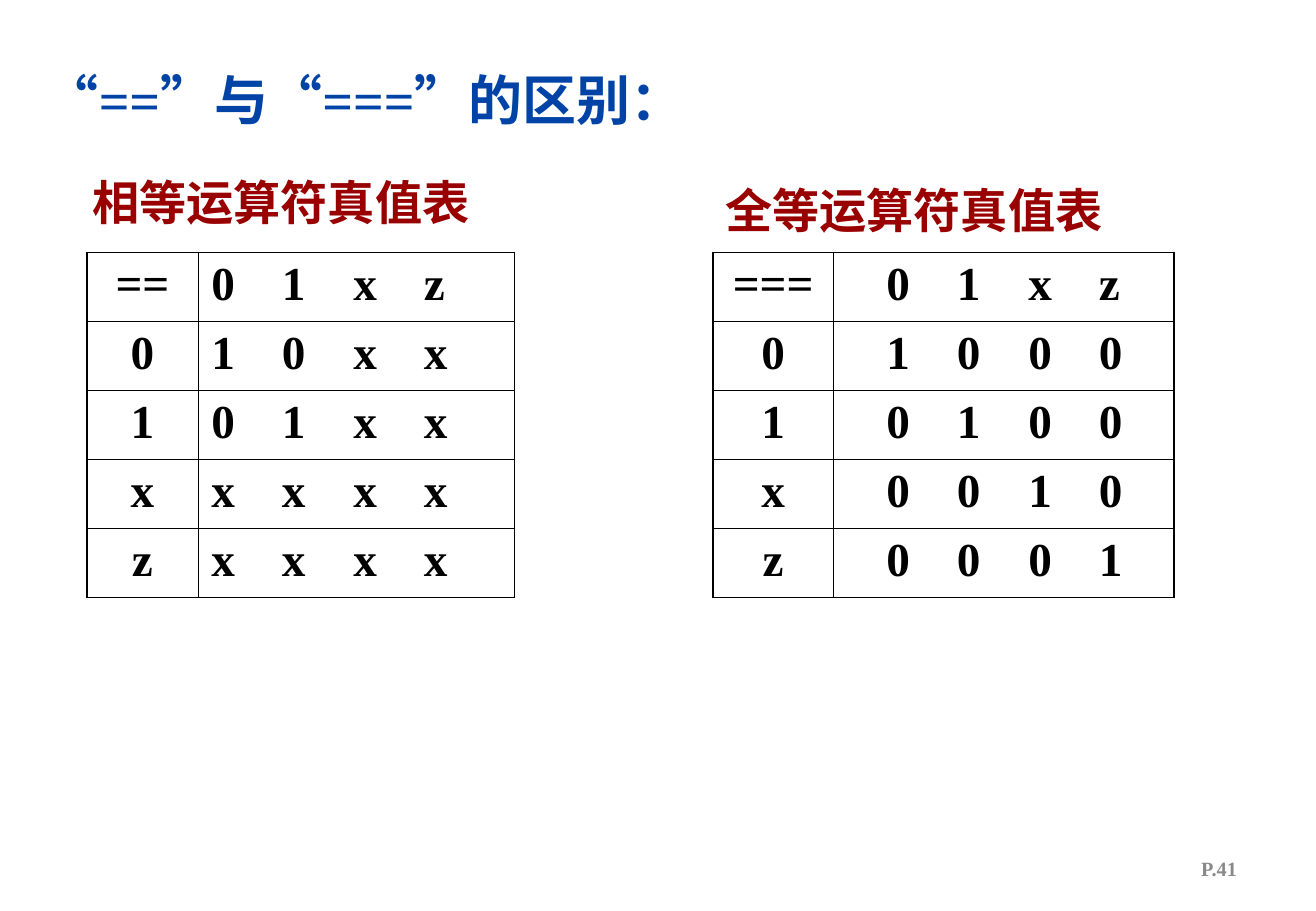
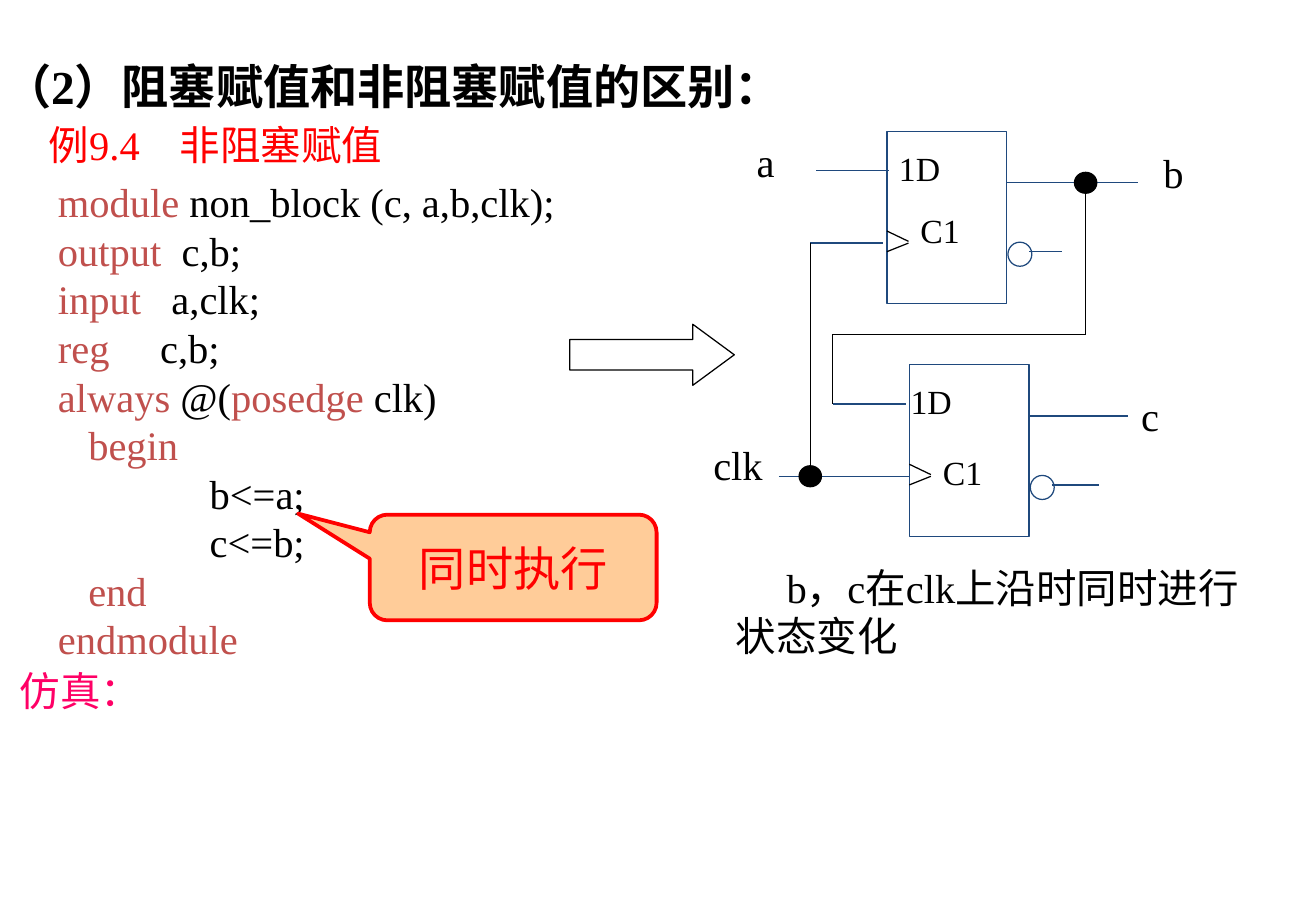
from dataclasses import dataclass

from lxml import etree
from pptx import Presentation
from pptx import util as u
from pptx.dml.color import RGBColor
from pptx.enum import shapes, text
from pptx.oxml import ns

# Shared style
FONT = "Times New Roman"
BLACK = RGBColor(0x00, 0x00, 0x00)
TITLE_BLUE = RGBColor(0x00, 0x43, 0xA6)
CAPTION_RED = RGBColor(0x99, 0x00, 0x00)
PAGE_GREY = RGBColor(0x89, 0x89, 0x89)
KEYWORD = RGBColor(0xC0, 0x50, 0x4D)
RED = RGBColor(0xFF, 0x00, 0x00)
PINK = RGBColor(0xFF, 0x00, 0x66)
PEACH = RGBColor(0xFF, 0xCC, 0x99)
WIRE_BLUE = RGBColor(0x1F, 0x49, 0x7D)
THIN, OUTER, INNER = 0.75, 1.08, 0.45
KIND = shapes.MSO_SHAPE
CENTER, RIGHT = text.PP_ALIGN.CENTER, text.PP_ALIGN.RIGHT


@dataclass
class Box:
    """A region in EMU; what it holds is placed in percent of its size."""
    x: float
    y: float
    w: float
    h: float

    def point(self, x, y):
        return int(self.x + self.w * x / 100), int(self.y + self.h * y / 100)

    def inner(self, x, y, w, h):
        return Box(*self.point(x, y), int(self.w * w / 100), int(self.h * h / 100))

    def around(self, center, w, h):
        width, height = self.w * w / 100, self.h * h / 100
        return Box(int(center[0] - width / 2), int(center[1] - height / 2),
                   int(width), int(height))

    def frame(self):
        return self.x, self.y, self.w, self.h


PAGE = Box(0, 0, u.Inches(10.84), u.Inches(7.5))


# Basic elements
def style(paragraph, size, color=None, bold=False, align=None, tabs=()):
    if align is not None:
        paragraph.alignment = align
    if tabs:
        stops = etree.SubElement(paragraph._p.get_or_add_pPr(), ns.qn("a:tabLst"))
        for inches in tabs:
            etree.SubElement(stops, ns.qn("a:tab"),
                             pos=str(u.Inches(inches)), algn="l")
    font = paragraph.font
    font.name, font.size, font.bold = FONT, u.Pt(size), bold
    if color is not None:
        font.color.rgb = color


def add_text(slide, box, words, size, color=BLACK, **look):
    frame = slide.shapes.add_textbox(*box.frame()).text_frame
    frame.word_wrap = True
    paragraph = frame.paragraphs[0]
    paragraph.add_run().text = words
    style(paragraph, size, color, **look)
    return frame


def add_outline(slide, kind, box, line=BLACK, fill=None, width=THIN):
    shape = slide.shapes.add_shape(kind, *box.frame())
    shape.shadow.inherit = False
    shape.line.color.rgb = line
    shape.line.width = u.Pt(width)
    if fill is None:
        shape.fill.background()
    else:
        shape.fill.solid()
        shape.fill.fore_color.rgb = fill
    return shape


def add_wires(slide, *points, color=BLACK):
    """Straight lines from each point to the next."""
    for start, end in zip(points, points[1:]):
        wire = slide.shapes.add_connector(shapes.MSO_CONNECTOR.STRAIGHT, *start, *end)
        wire.line.color.rgb = color
        wire.line.width = u.Pt(THIN)
        etree.SubElement(wire._element.spPr, ns.qn("a:effectLst"))


# Truth tables
def set_borders(cell, widths):
    props = cell._tc.get_or_add_tcPr()
    for side, width in zip("LRTB", widths):
        line = etree.SubElement(props, ns.qn(f"a:ln{side}"), w=str(u.Pt(width)))
        fill = etree.SubElement(line, ns.qn("a:solidFill"))
        etree.SubElement(fill, ns.qn("a:srgbClr"), val=str(BLACK))


def truth_table(slide, box, operator, results, key_share, value_inset):
    rows = [(operator, "01xz"), *zip("01xz", results)]
    table = slide.shapes.add_table(len(rows), 2, *box.frame()).table
    table.first_row = table.horz_banding = False
    key_width = int(box.w * key_share)
    table.columns[0].width, table.columns[1].width = key_width, box.w - key_width
    last = len(rows) - 1
    for r, (key, values) in enumerate(rows):
        table.rows[r].height = box.h // len(rows)
        for c, words in enumerate((key, "\t".join(values))):
            cell = table.cell(r, c)
            set_borders(cell, [OUTER if edge else INNER
                               for edge in (c == 0, c == 1, r == 0, r == last)])
            cell.fill.background()
            cell.margin_left = u.Inches(value_inset if c else 0.11)
            cell.margin_right = u.Inches(0.11)
            paragraph = cell.text_frame.paragraphs[0]
            paragraph.add_run().text = words
            if c:
                style(paragraph, 28, BLACK, bold=True, tabs=(0.58, 1.17, 1.75))
            else:
                style(paragraph, 28, BLACK, bold=True, align=CENTER)


def equality_slide(slide):
    add_text(slide, PAGE.inner(2.5, 6.7, 58.3, 8.5), "“==”与“===”的区别：",
             32, TITLE_BLUE, bold=True)
    operators = [
        (6.6, 32.5, 0.26, 0.11, "==", ("10xx", "01xx", "xxxx", "xxxx"),
         (6.1, 18.4), "相等运算符真值表"),
        (54.2, 35, 0.26, 0.44, "===", ("1000", "0100", "0010", "0001"),
         (54.2, 19.2), "全等运算符真值表"),
    ]
    for left, width, share, inset, operator, results, corner, caption in operators:
        truth_table(slide, PAGE.inner(left, 27.7, width, 37.9),
                    operator, results, share, inset)
        add_text(slide, PAGE.inner(*corner, 34.1, 7.6), caption,
                 28, CAPTION_RED, bold=True)
    add_text(slide, PAGE.inner(71.6, 92.7, 23.3, 5.3), "P.41", 12, PAGE_GREY,
             bold=True, align=RIGHT).vertical_anchor = text.MSO_ANCHOR.MIDDLE


# Code listing: each line is a list of (words, is keyword)
CODE = [
    [("module", True), (" non_block (c, a,b,clk);", False)],
    [("output", True), ("  c,b;", False)],
    [("input", True), ("   a,clk;", False)],
    [("reg", True), ("     c,b;", False)],
    [("always", True), (" @(", False), ("posedge", True), (" clk)", False)],
    [("   begin", True)],
    [("\t   b<=a;", False)],
    [("\t   c<=b;", False)],
    [("   end", True)],
    [("endmodule", True)],
]


def code_listing(slide, box):
    frame = slide.shapes.add_textbox(*box.frame()).text_frame
    frame.word_wrap = True
    for i, line in enumerate(CODE):
        paragraph = frame.add_paragraph() if i else frame.paragraphs[0]
        style(paragraph, 24, tabs=(1,))
        for words, is_keyword in line:
            run = paragraph.add_run()
            run.text = words
            run.font.color.rgb = KEYWORD if is_keyword else BLACK


# Circuit
def flip_flop(slide, box, d_span, clock_span, q_end, inverted_end, d_label, c_label):
    """Draws one flip-flop; returns the outer ends of its D and clock wires
    and the height of its Q wire."""
    d_y, clock_y, q_y, inverted_y = 23, 65, 30, 70
    add_outline(slide, KIND.RECTANGLE, box, WIRE_BLUE)
    add_outline(slide, KIND.OVAL, box.inner(101, 64.5, 20, 14), WIRE_BLUE)
    for start, end, y in ((*d_span, d_y), (*clock_span, clock_y),
                          (100, q_end, q_y), (119, inverted_end, inverted_y)):
        add_wires(slide, box.point(start, y), box.point(end, y), color=WIRE_BLUE)
    for outer, tip in ((58, 64), (70, 65)):
        add_wires(slide, box.point(0, outer), box.point(18, tip))
    add_text(slide, box.inner(*d_label, 60, 31), "1D", 20)
    add_text(slide, box.inner(*c_label, 71, 31), "C1", 20)
    return (box.point(d_span[0], d_y), box.point(clock_span[0], clock_y),
            box.point(0, q_y)[1])


def circuit(slide, area):
    _, clock_corner, q_y = flip_flop(
        slide, area.inner(67.4, 14.4, 9.1, 18.9), (-59, 2), (-64, -3),
        210, 146, (0, 6), (18, 42))
    d_corner, clock_in, _ = flip_flop(
        slide, area.inner(69.1, 40, 9.1, 18.9), (-64, -3), (-109, 0),
        183, 158, (-9, 6), (18, 47))

    # Feedback from b and the shared clock
    b_node = area.point(82.5, 0)[0], q_y
    turn_y = area.point(0, 36.7)[1]
    add_wires(slide, d_corner, (d_corner[0], turn_y), (b_node[0], turn_y), b_node)
    clock_node = clock_corner[0], clock_in[1]
    add_wires(slide, clock_corner, clock_node)
    for node in (b_node, clock_node):
        add_outline(slide, KIND.OVAL, area.around(node, 1.7, 2.3), fill=BLACK)

    # Signal names
    for x, y, signal in ((56.6, 14.4, "a"), (87.5, 15.6, "b"),
                         (85.8, 42.3, "c"), (53.3, 47.7, "clk")):
        add_text(slide, area.inner(x, y, 6.5, 6.7), signal, 24)


def callout(slide, box, words):
    bubble = add_outline(slide, KIND.ROUNDED_RECTANGULAR_CALLOUT, box, RED, PEACH, 2.25)
    bubble.adjustments[0], bubble.adjustments[1] = -0.75, -0.51
    frame = bubble.text_frame
    frame.vertical_anchor = text.MSO_ANCHOR.MIDDLE
    frame.paragraphs[0].add_run().text = words
    style(frame.paragraphs[0], 28, RED, align=CENTER)


def assignment_slide(slide):
    add_text(slide, PAGE.inner(-0.6, 5.6, 66, 7.6),
             "（2）阻塞赋值和非阻塞赋值的区别：", 28, bold=True)
    code_listing(slide, PAGE.inner(3.5, 18.8, 42.5, 54.7))
    add_text(slide, PAGE.inner(2.8, 12.5, 30, 6.7), "例9.4\t非阻塞赋值",
             24, RED, tabs=(1.08,))
    arrow = add_outline(slide, KIND.RIGHT_ARROW, PAGE.inner(43.3, 35.6, 12.5, 6.7))
    arrow.adjustments[1] = 0.68
    circuit(slide, PAGE)
    note = add_text(slide, PAGE.inner(55, 61.1, 41, 12),
                    "b，c在clk上沿时同时进行状态变化", 24)
    note.paragraphs[0]._p.get_or_add_pPr().set("indent", str(u.Inches(0.42)))
    add_text(slide, PAGE.inner(0.6, 72.5, 14, 6.7), "仿真：", 24, PINK)
    callout(slide, PAGE.inner(28.1, 56.5, 21.8, 11.6), "同时执行")


def main():
    deck = Presentation()
    deck.slide_width, deck.slide_height = PAGE.w, PAGE.h
    for build in (equality_slide, assignment_slide):
        build(deck.slides.add_slide(deck.slide_layouts[6]))
    deck.save("out.pptx")


if __name__ == "__main__":
    main()
